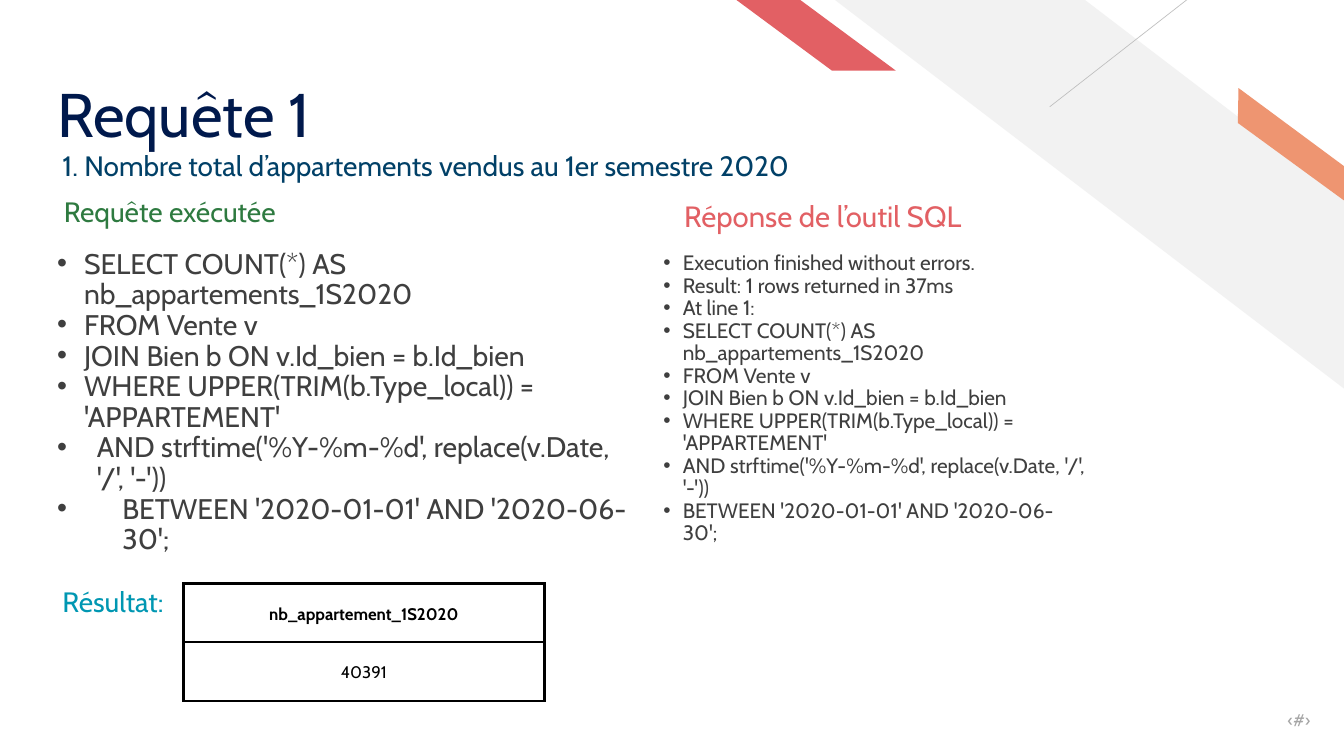
import pptx
import pptx.dml.color
import pptx.enum.shapes
import pptx.enum.text
import pptx.oxml
import pptx.oxml.ns
import pptx.util
from lxml import etree

Inches, Pt = pptx.util.Inches, pptx.util.Pt
RGBColor = pptx.dml.color.RGBColor
PP_ALIGN = pptx.enum.text.PP_ALIGN
ANCHOR = pptx.enum.text.MSO_ANCHOR
qn = pptx.oxml.ns.qn

FONT = "Cabin"
NAVY = RGBColor(0x00, 0x19, 0x4C)
BLUE = RGBColor(0x01, 0x40, 0x67)
GREEN = RGBColor(0x2E, 0x7A, 0x40)
RED = RGBColor(0xE2, 0x60, 0x64)
TEAL = RGBColor(0x00, 0x97, 0xB2)
ORANGE = RGBColor(0xEE, 0x95, 0x71)
TEXT_GREY = RGBColor(0x3F, 0x3F, 0x3F)
PALE_GREY = RGBColor(0xF2, 0xF2, 0xF2)
LINE_GREY = RGBColor(0xBF, 0xBF, 0xBF)
NUMBER_GREY = RGBColor(0xA5, 0xA5, 0xA5)
BLACK = RGBColor(0, 0, 0)

# Content
TITLE = "Requête 1"
QUESTION = "1. Nombre total d’appartements vendus au 1er semestre 2020"
QUERY_HEADING = "Requête exécutée"
ANSWER_HEADING = "Réponse de l’outil SQL"
RESULT_HEADING = "Résultat:"
PAGE_NUMBER = "‹#›"
QUERY = [
    "SELECT COUNT(*) AS nb_appartements_1S2020",
    "FROM Vente v",
    "JOIN Bien b ON v.Id_bien = b.Id_bien",
    "WHERE UPPER(TRIM(b.Type_local)) = 'APPARTEMENT'",
    "AND strftime('%Y-%m-%d', replace(v.Date, '/', '-'))",
    "BETWEEN '2020-01-01' AND '2020-06-30';",
]
ANSWER = [
    "Execution finished without errors.",
    "Result: 1 rows returned in 37ms",
    "At line 1:",
] + QUERY
CODE_INDENTS = {4: 0.19, 5: 0.57}  # extra indent of the nested query lines
RESULT = ["nb_appartement_1S2020", "40391"]

BANDS = [
    (PALE_GREY, [(20.01, 2.95), (16.12, -0.02), (12.4, -0.02), (20.01, 5.79)]),
    (ORANGE, [(20.01, 2.99), (20.01, 2.48), (18.43, 1.31), (18.42, 1.83)]),
    (RED, [(13.33, 1.05), (11.91, 0), (10.96, 0), (12.38, 1.05)]),
]


def place(shape, left, top, width, height):
    shape.left, shape.top = Inches(left), Inches(top)
    shape.width, shape.height = Inches(width), Inches(height)


def style_paragraph(paragraph, size, color, spacing, align=PP_ALIGN.LEFT, bold=False):
    paragraph.alignment = align
    paragraph.line_spacing = Pt(spacing)
    paragraph.space_before = paragraph.space_after = Pt(0)
    for run in paragraph.runs:
        run.font.name, run.font.size, run.font.bold = FONT, Pt(size), bold
        run.font.color.rgb = color


def write(shape, lines, size, color, spacing, align=PP_ALIGN.LEFT, anchor=ANCHOR.TOP):
    frame = shape.text_frame
    frame.text = "\n".join(lines)
    frame.word_wrap = True
    frame.auto_size = pptx.enum.text.MSO_AUTO_SIZE.NONE
    frame.vertical_anchor = anchor
    frame.margin_left = frame.margin_right = frame.margin_top = frame.margin_bottom = 0
    for paragraph in frame.paragraphs:
        style_paragraph(paragraph, size, color, spacing, align)


def add_bullets(shape, margin, hang, extra_indents):
    for index, paragraph in enumerate(shape.text_frame.paragraphs):
        paragraph.level = 1
        extra = extra_indents.get(index, 0)
        properties = paragraph._p.get_or_add_pPr()
        properties.set("marL", str(Inches(margin + extra)))
        properties.set("indent", str(-Inches(hang + extra)))
        etree.SubElement(properties, qn("a:buFont")).set("typeface", "Arial")
        etree.SubElement(properties, qn("a:buChar")).set("char", "•")


def add_label(slide, box, *args, **kwargs):
    label = slide.shapes.add_textbox(*map(Inches, box))
    write(label, *args, **kwargs)


def add_band(slide, color, points):
    corners = [(Inches(x), Inches(y)) for x, y in points]
    builder = slide.shapes.build_freeform(*corners[0])
    builder.add_line_segments(corners[1:], close=True)
    band = builder.convert_to_shape()
    band.shadow.inherit = False
    band.fill.solid()
    band.fill.fore_color.rgb = color
    band.line.fill.background()


def add_result_table(slide):
    frame = slide.shapes.add_table(
        len(RESULT), 1, Inches(2.73), Inches(8.68), Inches(5.37), Inches(1.75))
    for row, value in enumerate(RESULT):
        cell = frame.table.cell(row, 0)
        cell.text = value
        cell.vertical_anchor = ANCHOR.MIDDLE
        cell.margin_left = cell.margin_right = Inches(0.21)
        cell.margin_top = cell.margin_bottom = Inches(0.21)
        style_paragraph(cell.text_frame.paragraphs[0], 18, BLACK, 25.2,
                        PP_ALIGN.CENTER, bold=row == 0)
        properties = cell._tc.get_or_add_tcPr()
        for side in ("lnL", "lnR", "lnT", "lnB"):
            border = etree.SubElement(properties, qn("a:" + side), w=str(Pt(3)))
            fill = etree.SubElement(border, qn("a:solidFill"))
            etree.SubElement(fill, qn("a:srgbClr"), val=str(BLACK))
        cell.fill.background()


def main():
    deck = pptx.Presentation()
    deck.slide_width, deck.slide_height = Inches(20), Inches(11.25)
    slide = deck.slides.add_slide(deck.slide_layouts[4])  # Comparison
    title, query_heading, query, answer_heading, answer = slide.placeholders

    # Corner decoration
    for color, points in BANDS:
        add_band(slide, color, points)
    accent = slide.shapes.add_connector(
        pptx.enum.shapes.MSO_CONNECTOR.STRAIGHT,
        Inches(17.67), Inches(-0.01), Inches(15.62), Inches(1.59))
    accent.line.color.rgb = LINE_GREY
    accent.line.width = Pt(0.75)
    etree.SubElement(accent._element.spPr, qn("a:effectLst"))

    # Title and question
    place(title, 0.85, 0.29, 13.67, 1.94)
    write(title, [TITLE], 66, NAVY, 71.3, anchor=ANCHOR.BOTTOM)
    add_label(slide, (0.93, 2.26, 11.94, 0.53), [QUESTION], 30, BLUE, 32.4)

    # Query column
    place(query_heading, 0.95, 2.94, 3.57, 0.53)
    write(query_heading, [QUERY_HEADING], 30, GREEN, 32.4)
    place(query, 0.45, 3.71, 9.01, 4.12)
    write(query, QUERY, 30.4, TEXT_GREY, 32.8)
    add_bullets(query, 0.8, 0.4, CODE_INDENTS)

    # Answer column
    place(answer_heading, 9.77, 3, 4.95, 0.55)
    write(answer_heading, [ANSWER_HEADING], 31.4, RED, 33.9, PP_ALIGN.CENTER)
    place(answer, 9.57, 3.76, 6.58, 4.02)
    write(answer, ANSWER, 22.3, TEXT_GREY, 24.1)
    add_bullets(answer, 0.59, 0.29, {})

    # Result and page number
    add_label(slide, (0.93, 8.75, 1.54, 0.53), [RESULT_HEADING], 30, TEAL, 32.4)
    add_result_table(slide)
    add_label(slide, (18.29, 10.4, 1.21, 0.63), [PAGE_NUMBER], 18, NUMBER_GREY, 21.6,
              PP_ALIGN.RIGHT, ANCHOR.MIDDLE)

    deck.save("out.pptx")


if __name__ == "__main__":
    main()
